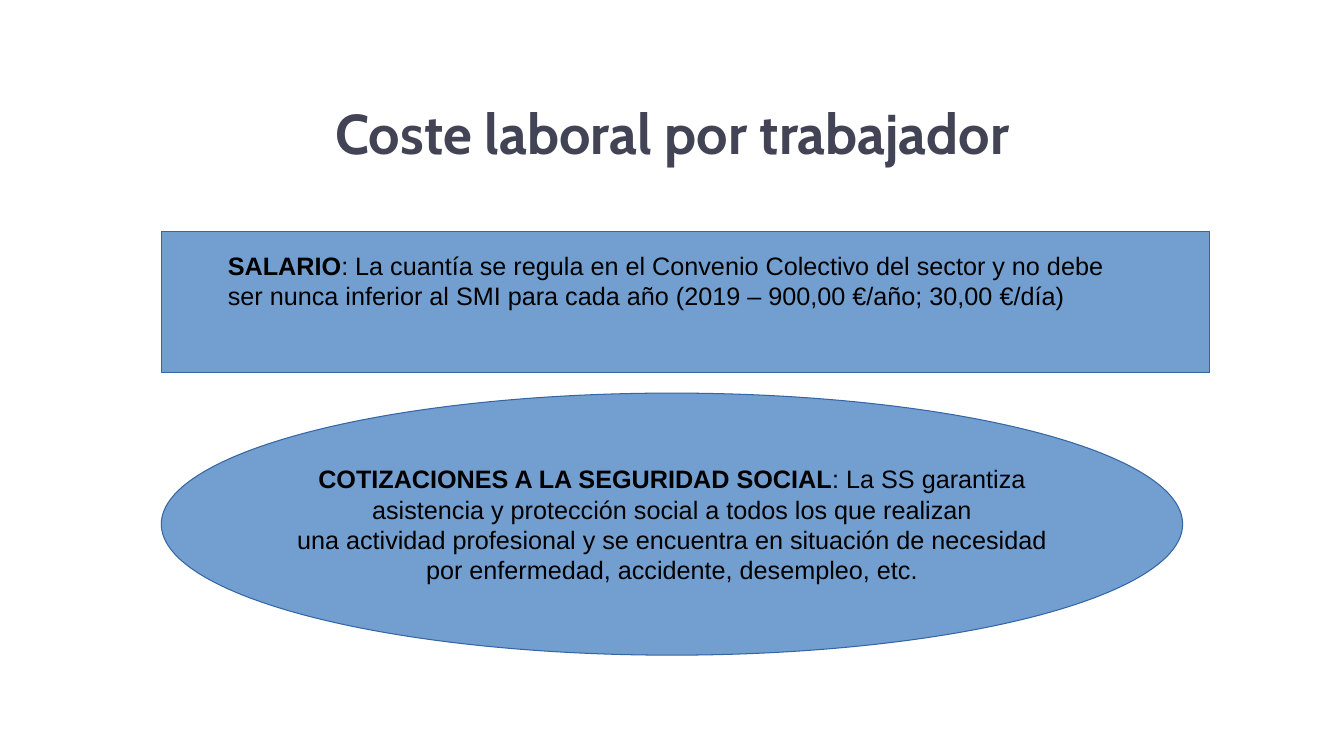
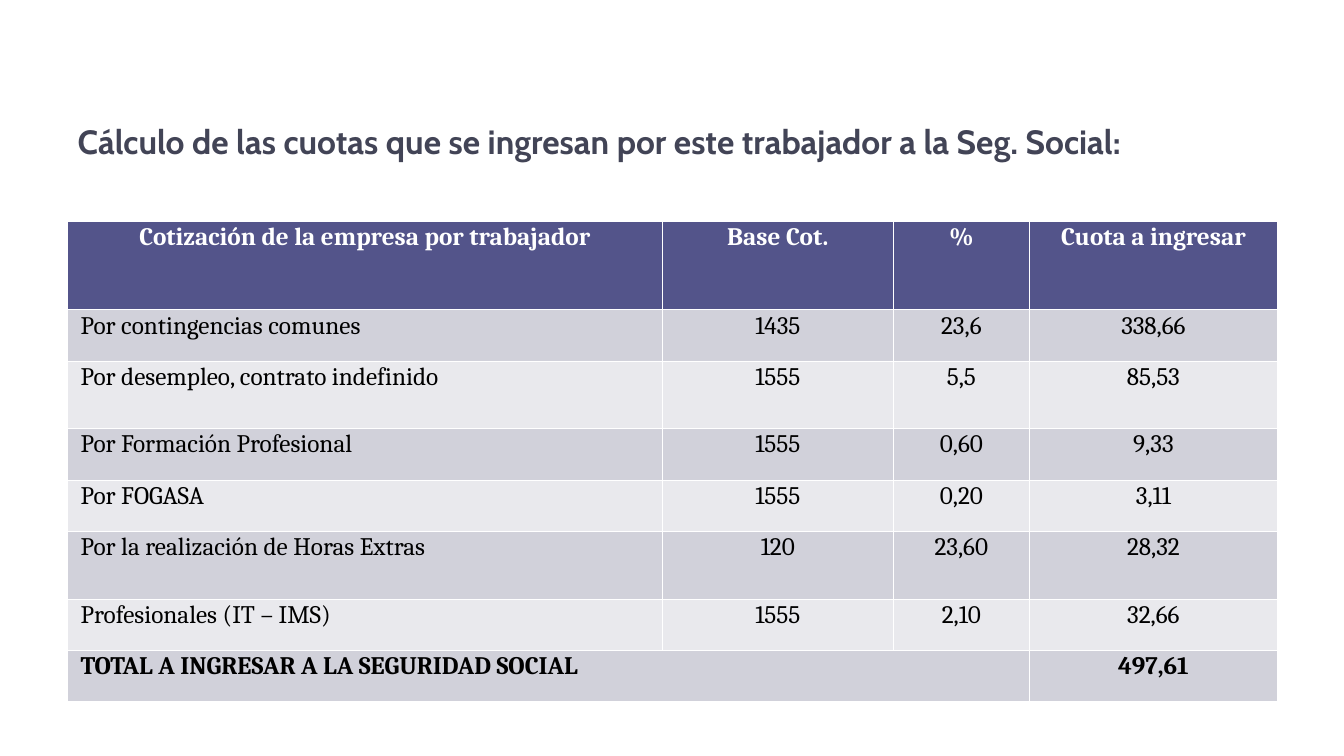
from lxml import etree
from pptx import Presentation
from pptx.dml.color import RGBColor
from pptx.enum.shapes import MSO_SHAPE as SHAPE
from pptx.enum.text import MSO_ANCHOR as ANCHOR, PP_ALIGN as ALIGN
from pptx.oxml.ns import qn
from pptx.util import Inches, Pt

COLORS = {
    "title": "424456",
    "shape": "729FCF",
    "outline": "3465A4",
    "header": "53548A",
    "band_dark": "D1D1DA",
    "band_light": "E9E9ED",
    "white": "FFFFFF",
    "black": "000000",
}
TITLE_FONT, BODY_FONT, TABLE_FONT = "Cabin", "Arial", "Cambria"

SALARY = [[
    ("SALARIO", True),
    (": La cuantía se regula en el Convenio Colectivo del sector y no debe ser "
     "nunca inferior al SMI para cada año (2019 – 900,00 €/año; 30,00 €/día)", False),
]]
CONTRIBUTIONS = [
    [("COTIZACIONES A LA SEGURIDAD SOCIAL", True), (": La SS garantiza", False)],
    [("asistencia y protección social a todos los que realizan", False)],
    [("una actividad profesional y se encuentra en situación de necesidad", False)],
    [("por enfermedad, accidente, desempleo, etc.", False)],
]

COL_WIDTHS = [5.9, 2.29, 1.35, 2.46]
HEADER_HEIGHT, ROW_HEIGHT, TALL_HEIGHT = 0.88, 0.51, 0.67
TALL_ROWS = (2, 5)
QUOTAS = [
    ("Cotización de la empresa por trabajador", "Base Cot.", "%", "Cuota a ingresar"),
    ("Por contingencias comunes", "1435", "23,6", "338,66"),
    ("Por desempleo, contrato indefinido", "1555", "5,5", "85,53"),
    ("Por Formación Profesional", "1555", "0,60", "9,33"),
    ("Por FOGASA", "1555", "0,20", "3,11"),
    ("Por la realización de Horas Extras", "120", "23,60", "28,32"),
    ("Profesionales (IT – IMS)", "1555", "2,10", "32,66"),
    ("TOTAL A INGRESAR A LA SEGURIDAD SOCIAL", "", "", "497,61"),
]


def rgb(name):
    return RGBColor.from_string(COLORS[name])


def write(tf, paragraphs, font=BODY_FONT, size=18, color="black",
          align=ALIGN.LEFT, spacing=None):
    for i, runs in enumerate(paragraphs):
        p = tf.add_paragraph() if i else tf.paragraphs[0]
        p.alignment = align
        if spacing:
            p.line_spacing = spacing
        for text, bold in runs:
            r = p.add_run()
            r.text = text
            r.font.name = font
            r.font.size = Pt(size)
            r.font.bold = bold
            r.font.color.rgb = rgb(color)


def set_margins(tf, left, top, right, bottom):
    tf.margin_left, tf.margin_top = Inches(left), Inches(top)
    tf.margin_right, tf.margin_bottom = Inches(right), Inches(bottom)


def add_titled_slide(prs, text, box, size, align):
    slide = prs.slides.add_slide(prs.slide_layouts[5])
    sp = slide.shapes.title
    sp.left, sp.top, sp.width, sp.height = map(Inches, box)
    sp.text_frame.vertical_anchor = ANCHOR.MIDDLE
    write(sp.text_frame, [[(text, True)]], font=TITLE_FONT, size=size,
          color="title", align=align)
    return slide


def add_panel(slide, kind, box, paragraphs, align, anchor,
              margins=(0.1, 0.05, 0.1, 0.05), wrap=True):
    sp = slide.shapes.add_shape(kind, *map(Inches, box))
    sp.shadow.inherit = False
    sp.fill.solid()
    sp.fill.fore_color.rgb = rgb("shape")
    sp.line.color.rgb = rgb("outline")
    sp.line.width = Pt(0.75)
    tf = sp.text_frame
    tf.word_wrap = wrap
    tf.vertical_anchor = anchor
    set_margins(tf, *margins)
    write(tf, paragraphs, align=align)


def set_borders(cell, color, width):
    tc_pr = cell._tc.get_or_add_tcPr()
    for i, side in enumerate(("lnL", "lnR", "lnT", "lnB")):
        ln = etree.Element(qn(f"a:{side}"), w=str(Pt(width)))
        fill = etree.SubElement(ln, qn("a:solidFill"))
        etree.SubElement(fill, qn("a:srgbClr"), val=COLORS[color])
        tc_pr.insert(i, ln)


def row_fill(row):
    if row == 0:
        return "header"
    return "band_dark" if row % 2 else "band_light"


def add_quota_table(slide, left, top):
    last = len(QUOTAS) - 1
    heights = [HEADER_HEIGHT] + [TALL_HEIGHT if i in TALL_ROWS else ROW_HEIGHT
                                 for i in range(1, last + 1)]
    frame = slide.shapes.add_table(
        len(QUOTAS), len(COL_WIDTHS), Inches(left), Inches(top),
        Inches(sum(COL_WIDTHS)), Inches(sum(heights)))
    table = frame.table
    for column, width in zip(table.columns, COL_WIDTHS):
        column.width = Inches(width)
    for i, values in enumerate(QUOTAS):
        table.rows[i].height = Inches(heights[i])
        for j, value in enumerate(values):
            cell = table.cell(i, j)
            cell.fill.solid()
            cell.fill.fore_color.rgb = rgb(row_fill(i))
            set_margins(cell, 0.13, 0.05, 0.13, 0.05)
            set_borders(cell, "white", 0.06)
            if value:
                write(cell.text_frame, [[(value, i in (0, last))]],
                      font=TABLE_FONT, color="black" if i else "white",
                      align=ALIGN.LEFT if i and j == 0 else ALIGN.CENTER,
                      spacing=0.84)
    table.cell(last, 0).merge(table.cell(last, 2))


def build_cost_slide(prs):
    slide = add_titled_slide(prs, "Coste laboral por trabajador",
                             (0.67, 0.76, 12, 1.1), 40, ALIGN.CENTER)
    add_panel(slide, SHAPE.OVAL, (1.6, 3.9, 10.13, 2.6), CONTRIBUTIONS,
              ALIGN.CENTER, ANCHOR.MIDDLE, wrap=False)
    add_panel(slide, SHAPE.RECTANGLE, (1.6, 2.3, 10.4, 1.4), SALARY,
              ALIGN.LEFT, ANCHOR.TOP, margins=(0.66, 0.18, 0.67, 0.05))


def build_quota_slide(prs):
    slide = add_titled_slide(
        prs, "Cálculo de las cuotas que se ingresan por este trabajador a la Seg. Social:",
        (0.67, 0.86, 12, 1.08), 24, ALIGN.LEFT)
    add_quota_table(slide, 0.67, 2.19)


def main():
    prs = Presentation()
    prs.slide_width, prs.slide_height = Inches(13.33), Inches(7.5)
    build_cost_slide(prs)
    build_quota_slide(prs)
    prs.save("out.pptx")


if __name__ == "__main__":
    main()
